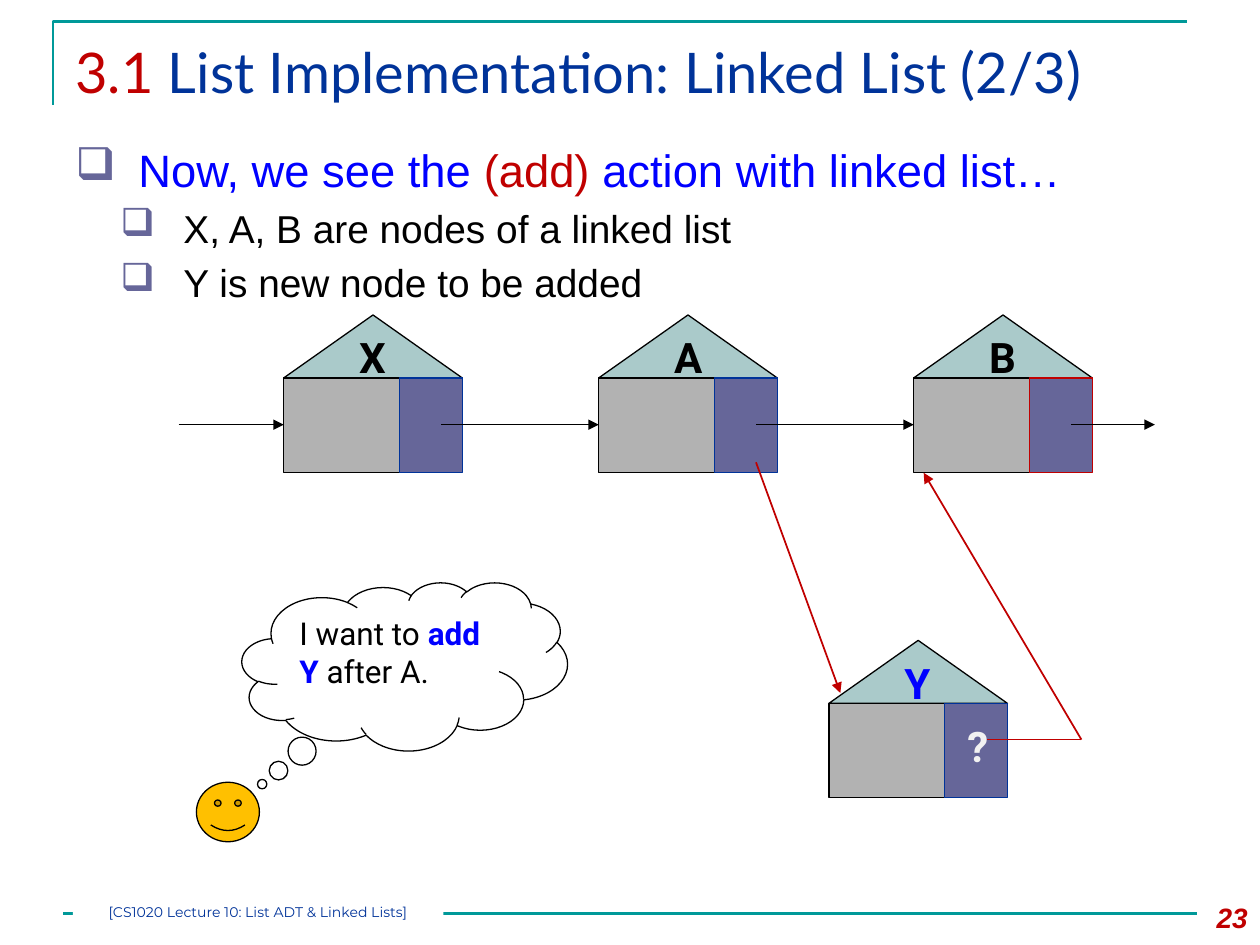
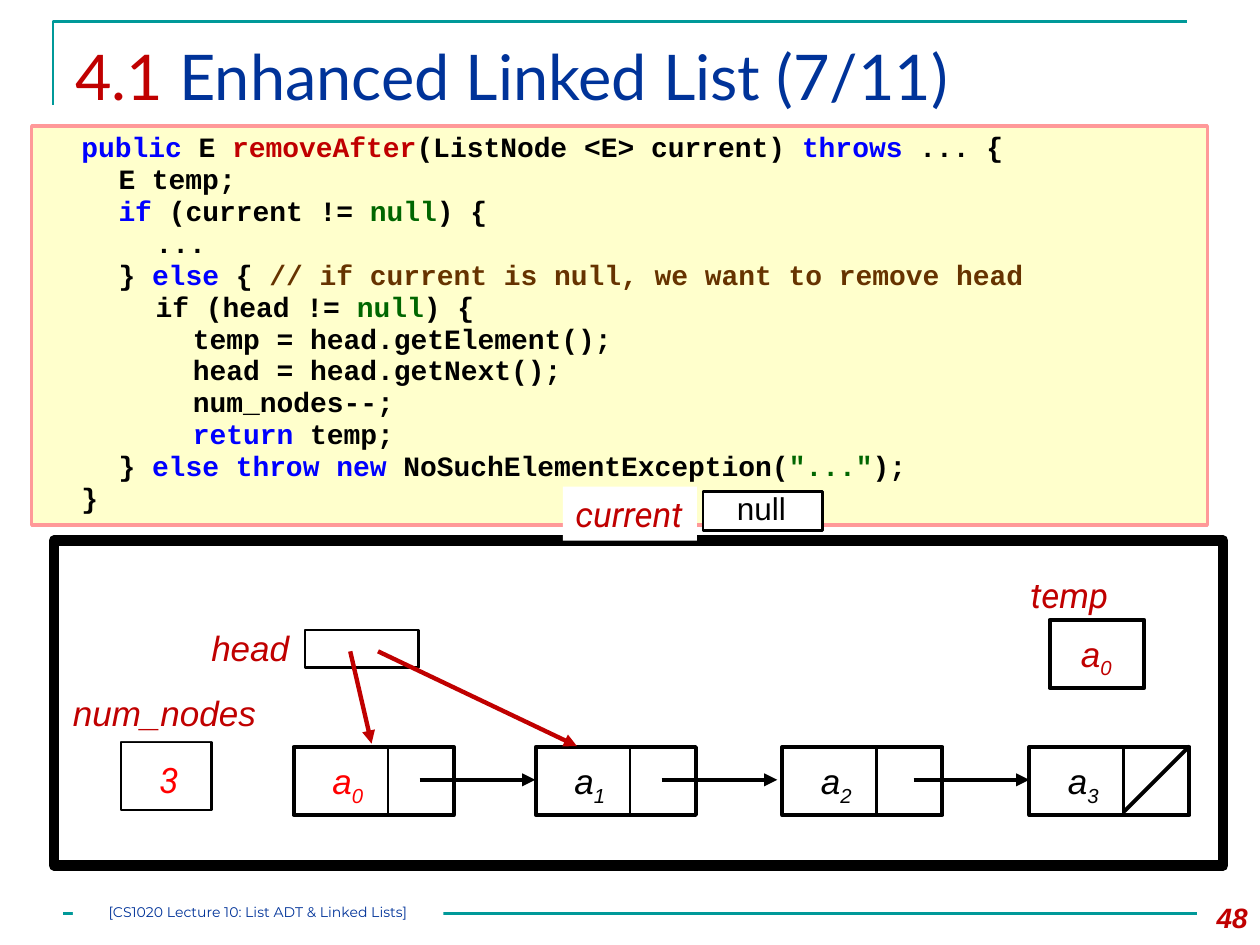
"""Build two lecture slides about linked lists."""
from lxml.etree import SubElement
from pptx import Presentation
from pptx.dml.color import RGBColor
from pptx.enum.shapes import MSO_CONNECTOR, MSO_SHAPE as Kind
from pptx.enum.text import MSO_ANCHOR, PP_ALIGN as Align
from pptx.oxml.ns import qn
from pptx.util import Cm, Pt

BLACK = RGBColor(0x00, 0x00, 0x00)
WHITE = RGBColor(0xFF, 0xFF, 0xFF)
PALE = RGBColor(0xF2, 0xF2, 0xF2)
GRAY = RGBColor(0xB2, 0xB2, 0xB2)
TEAL = RGBColor(0x00, 0x99, 0x99)
ROOF = RGBColor(0xAA, 0xCA, 0xCA)
PURPLE = RGBColor(0x66, 0x66, 0x99)
NAVY = RGBColor(0x00, 0x33, 0x99)
BLUE = RGBColor(0x00, 0x00, 0xFF)
CRIMSON = RGBColor(0xC0, 0x00, 0x00)
RED = RGBColor(0xFF, 0x00, 0x00)
GOLD = RGBColor(0xFF, 0xC0, 0x00)
CREAM = RGBColor(0xFF, 0xFF, 0xCC)
PINK = RGBColor(0xFF, 0x99, 0x99)
GREEN = RGBColor(0x00, 0x66, 0x00)
BROWN = RGBColor(0x66, 0x33, 0x00)


def add_box(shapes, kind, area, fill=None, outline=None, weight=0.75):
    lengths = [Cm(value) for value in area]
    if kind is None:
        return shapes.add_textbox(*lengths)
    box = shapes.add_shape(kind, *lengths)
    box.shadow.inherit = False
    if fill is None:
        box.fill.background()
    else:
        box.fill.solid()
        box.fill.fore_color.rgb = fill
    if outline is None:
        box.line.fill.background()
    else:
        box.line.color.rgb = outline
        box.line.width = Pt(weight)
    return box


def write(box, lines, font, size, bold=False, italic=False, align=Align.LEFT, wrap=True):
    frame = box.text_frame
    frame.word_wrap = wrap
    frame.vertical_anchor = MSO_ANCHOR.TOP
    for index, spans in enumerate(lines):
        para = frame.add_paragraph() if index else frame.paragraphs[0]
        para.alignment = align
        for text, color in spans:
            span = para.add_run()
            span.text = text
            span.font.name = font
            span.font.size = Pt(size)
            span.font.bold = bold
            span.font.italic = italic
            span.font.color.rgb = color
    return frame.paragraphs


deck = Presentation()
deck.slide_width, deck.slide_height = Cm(25.4), Cm(19.05)

pages = []
for section, title, size, number in [
    ("3.1 ", "List Implementation: Linked List (2/3)", 32, "23"),
    ("4.1 ", "Enhanced Linked List (7/11)", 36, "48"),
]:
    page = deck.slides.add_slide(deck.slide_layouts[6])
    pages.append(page)
    builder = page.shapes.build_freeform(Cm(1.07), Cm(2.11))
    builder.add_line_segments([(Cm(1.07), Cm(0.43)), (Cm(23.93), Cm(0.43))], close=False)
    bracket = builder.convert_to_shape()
    bracket.shadow.inherit = False
    bracket.fill.background()
    bracket.line.color.rgb = TEAL
    bracket.line.width = Pt(1.5)
    box = add_box(page.shapes, None, (1.27, 0.64, 22.86, 2.18))
    write(box, [[(section, CRIMSON), (title, NAVY)]], "Lato", size)
    box = add_box(page.shapes, None, (23.7, 18.03, 1.7, 1.02))
    write(box, [[(number, CRIMSON)]], "Arial", 16, True, True, Align.RIGHT)

houses, memory = [page.shapes for page in pages]

box = add_box(houses, None, (1.27, 2.74, 22.86, 3.38))
bullets = write(box, [
    [("Now, we see the ", BLUE), ("(add) ", CRIMSON), ("action with linked list…", BLUE)],
    [("X, A, B are nodes of a linked list", BLACK)],
    [("Y is new node to be added", BLACK)],
], "Arial", 22.2)
for span in bullets[0].runs:
    span.font.size = Pt(25.9)
for para, level, indent in zip(bullets, (0, 1, 1), (1.27, 2.18, 2.18)):
    para.level = level
    para.space_before = Pt(4.4 + 0.8 * (level == 0))
    props = para._p.get_or_add_pPr()
    props.set("marL", str(Cm(indent)))
    props.set("indent", str(-Cm(1.27)))
    color = SubElement(props, qn("a:buClr"))
    SubElement(color, qn("a:srgbClr")).set("val", str(PURPLE))
    SubElement(props, qn("a:buChar")).set("char", "❑")

for name, left, top, ink, edge in [
    ("A", 12.07, 6.35, BLACK, NAVY),
    ("X", 5.72, 6.35, BLACK, NAVY),
    ("Y", 16.71, 12.91, BLUE, NAVY),
    ("B", 18.42, 6.35, BLACK, CRIMSON),
]:
    house = houses.add_group_shape().shapes
    wall = top + 1.27
    add_box(house, Kind.FLOWCHART_EXTRACT, (left, top, 3.6, 1.27), ROOF, BLACK)
    add_box(house, Kind.FLOWCHART_PROCESS, (left, wall, 2.33, 1.9), GRAY, BLACK)
    add_box(house, Kind.FLOWCHART_PROCESS, (left + 2.33, wall, 1.27, 1.9), PURPLE, edge)
    label = add_box(house, None, (left + 1.27, top + 0.21, 1.17, 1.27))
    write(label, [[(name, ink)]], "Roboto", 24, True)

box = add_box(houses, None, (19.25, 14.4, 1.07, 1.27))
write(box, [[("?", PALE)]], "Roboto", 24, True)
smiley = add_box(houses, Kind.SMILEY_FACE, (3.96, 15.77, 1.27, 1.2), GOLD, BLACK)
smiley.adjustments[0] = 0.047
cloud = add_box(houses, Kind.CLOUD_CALLOUT, (4.88, 11.74, 6.56, 3.39), WHITE, BLACK)
cloud.adjustments[0], cloud.adjustments[1] = -0.438, 0.7
wish = write(cloud, [[("I want to ", BLACK), ("add Y", BLUE), (" after A.", BLACK)]],
             "Roboto", 18)
wish[0].runs[1].font.bold = True

code = [
    (1, [("public", BLUE), (" E ", BLACK), ("removeAfter", CRIMSON),
         ("(ListNode <E> current) ", BLACK), ("throws", BLUE), (" ... {", BLACK)]),
    (2, [("E temp;", BLACK)]),
    (2, [("if ", BLUE), ("(current != ", BLACK), ("null", GREEN), (") {", BLACK)]),
    (3, [("...", BLACK)]),
    (2, [("} ", BLACK), ("else ", BLUE), ("{ ", BLACK),
         ("// if current is null, we want to remove head", BROWN)]),
    (3, [("if (head != ", BLACK), ("null", GREEN), (") {", BLACK)]),
    (4, [("temp = head.getElement();", BLACK)]),
    (4, [("head = head.getNext();", BLACK)]),
    (4, [("num_nodes--;", BLACK)]),
    (4, [("return", BLUE), (" temp;", BLACK)]),
    (2, [("} ", BLACK), ("else throw new ", BLUE), ("NoSuchElementException(", BLACK),
         ('"..."', GREEN), (");", BLACK)]),
    (1, [("}", BLACK)]),
]
box = add_box(memory, Kind.RECTANGLE, (0.64, 2.54, 23.7, 8.05), CREAM, PINK, 2)
listing = write(box, [spans for depth, spans in code], "Courier New", 16, True)
for para, (depth, spans) in zip(listing, code):
    para.line_spacing = 0.95
    para._p.get_or_add_pPr().set("marL", str(Cm(0.75 * depth)))

for area, fill, weight in [
    ((2.44, 14.96, 1.83, 1.37), WHITE, 1.5),
    ((1.09, 10.9, 23.57, 6.55), None, 6),
    ((6.15, 12.7, 2.29, 0.76), None, 1.5),
    ((21.16, 12.5, 1.91, 1.37), None, 2.25),
    ((14.17, 9.91, 2.41, 0.79), WHITE, 1.5),
]:
    add_box(memory, Kind.RECTANGLE, area, fill, BLACK, weight)

for text, area, font, ink, kind in [
    ("current", (11.35, 9.81, 2.7, 1.09), "Roboto", CRIMSON, Kind.RECTANGLE),
    ("num_nodes", (1.22, 13.82, 4.24, 1.12), "Arial", CRIMSON, Kind.RECTANGLE),
    ("3", (2.97, 15.16, 0.91, 1.12), "Roboto", RED, Kind.RECTANGLE),
    ("head", (4.01, 12.5, 2.08, 1.09), "Arial", CRIMSON, None),
    ("temp", (20.52, 11.43, 2.08, 1.12), "Roboto", CRIMSON, None),
]:
    label = add_box(memory, kind, area, WHITE)
    write(label, [[(text, ink)]], font, 20, italic=True, wrap=False)
box = add_box(memory, None, (14.4, 9.73, 1.9, 1.02))
write(box, [[("null", BLACK)]], "Arial", 18, align=Align.CENTER)

cells = [5.92, 10.8, 15.77, 20.75]
for left in cells:
    add_box(memory, Kind.RECTANGLE, (left, 15.06, 3.23, 1.37), None, BLACK, 2.25)
for index, left, top, ink in [
    ("0", cells[0] + 0.53, 15.19, RED),
    ("1", cells[1] + 0.53, 15.19, BLACK),
    ("2", cells[2] + 0.53, 15.19, BLACK),
    ("3", cells[3] + 0.53, 15.19, BLACK),
    ("0", 21.54, 12.62, CRIMSON),
]:
    label = add_box(memory, None, (left, top, 1.17, 1.12))
    element = write(label, [[("a", ink), (index, ink)]], "Arial", 20, italic=True, wrap=False)
    element[0].runs[1]._r.get_or_add_rPr().set("baseline", "-25000")

house_lines = [
    ((15.24, 9.32, 16.94, 13.97), CRIMSON, 1, True),
    ((19.9, 14.91, 21.8, 14.91), CRIMSON, 1, False),
    ((21.8, 14.91, 18.62, 9.53), CRIMSON, 1, True),
]
for start, end in [(3.6, 5.72), (8.89, 12.07), (15.24, 18.42), (21.59, 23.28)]:
    house_lines.append(((start, 8.56, end, 8.56), BLACK, 0.75, True))

memory_lines = [((left + 1.9, 15.04, left + 1.9, 16.43), BLACK, 1.5, False) for left in cells]
for start in (8.46, 13.34, 18.42):
    memory_lines.append(((start, 15.72, start + 2.33, 15.72), BLACK, 2.5, True))
memory_lines += [
    ((23.98, 15.04, 22.66, 16.36), BLACK, 2.25, False),
    ((7.06, 13.13, 7.49, 14.99), CRIMSON, 2.5, True),
    ((7.62, 13.13, 11.63, 15.04), CRIMSON, 2.5, True),
]

footer_line = ((1.27, 18.42, 24.13, 18.42), TEAL, 1.5, False)
for page, lines in zip(pages, (house_lines, memory_lines)):
    for ends, color, weight, arrow in lines + [footer_line]:
        link = page.shapes.add_connector(MSO_CONNECTOR.STRAIGHT, *[Cm(value) for value in ends])
        link.line.color.rgb = color
        link.line.width = Pt(weight)
        if arrow:
            SubElement(link.line._get_or_add_ln(), qn("a:tailEnd")).set("type", "triangle")
        SubElement(link._element.spPr, qn("a:effectLst"))
    footer = add_box(page.shapes, Kind.RECTANGLE, (1.47, 18.21, 7.47, 0.58), WHITE)
    frame = footer.text_frame
    frame.margin_left = frame.margin_right = frame.margin_top = frame.margin_bottom = 0
    write(footer, [[("[CS1020 Lecture 10: List ADT & Linked Lists]", NAVY)]],
          "Montserrat", 8, align=Align.CENTER)

deck.save("out.pptx")
